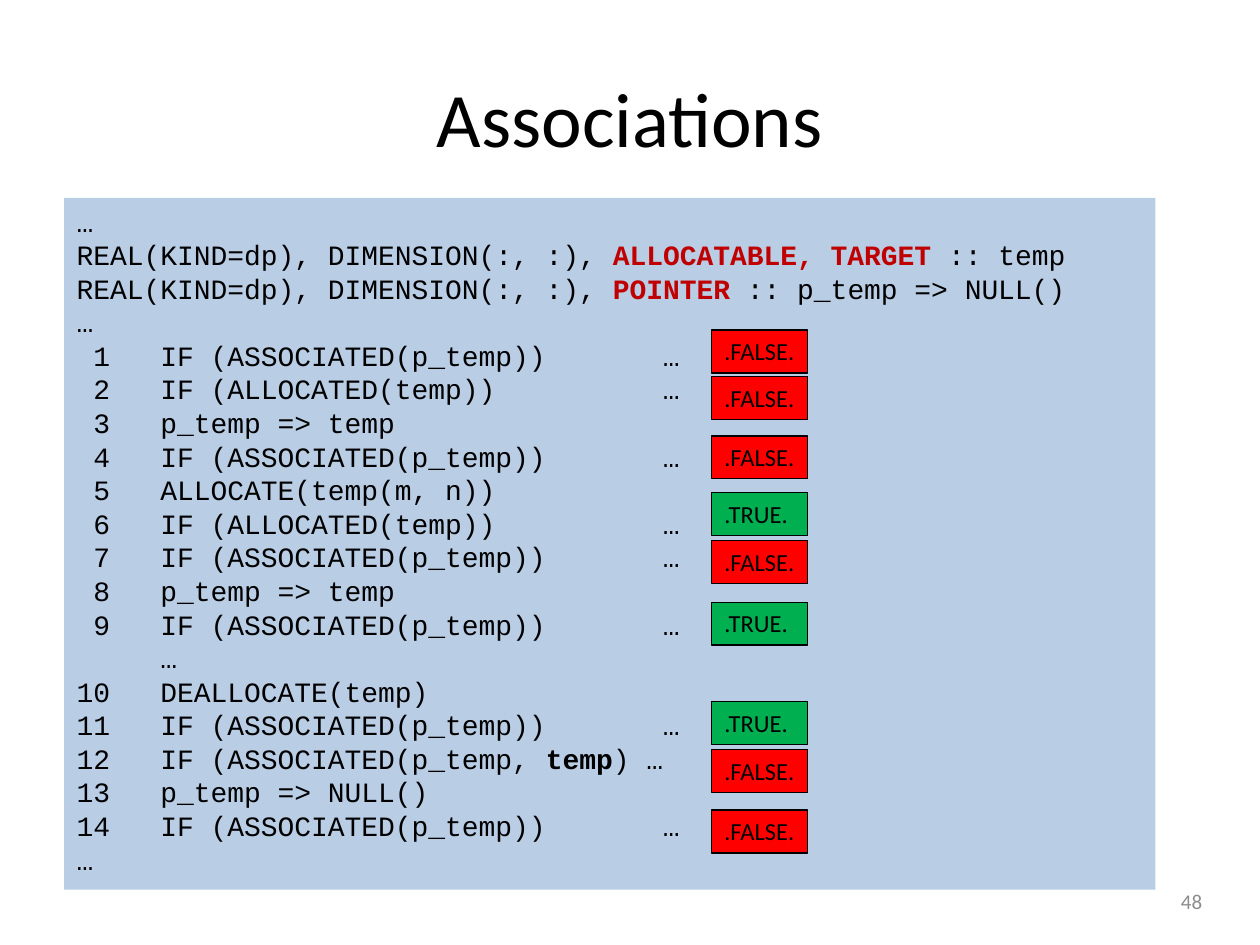
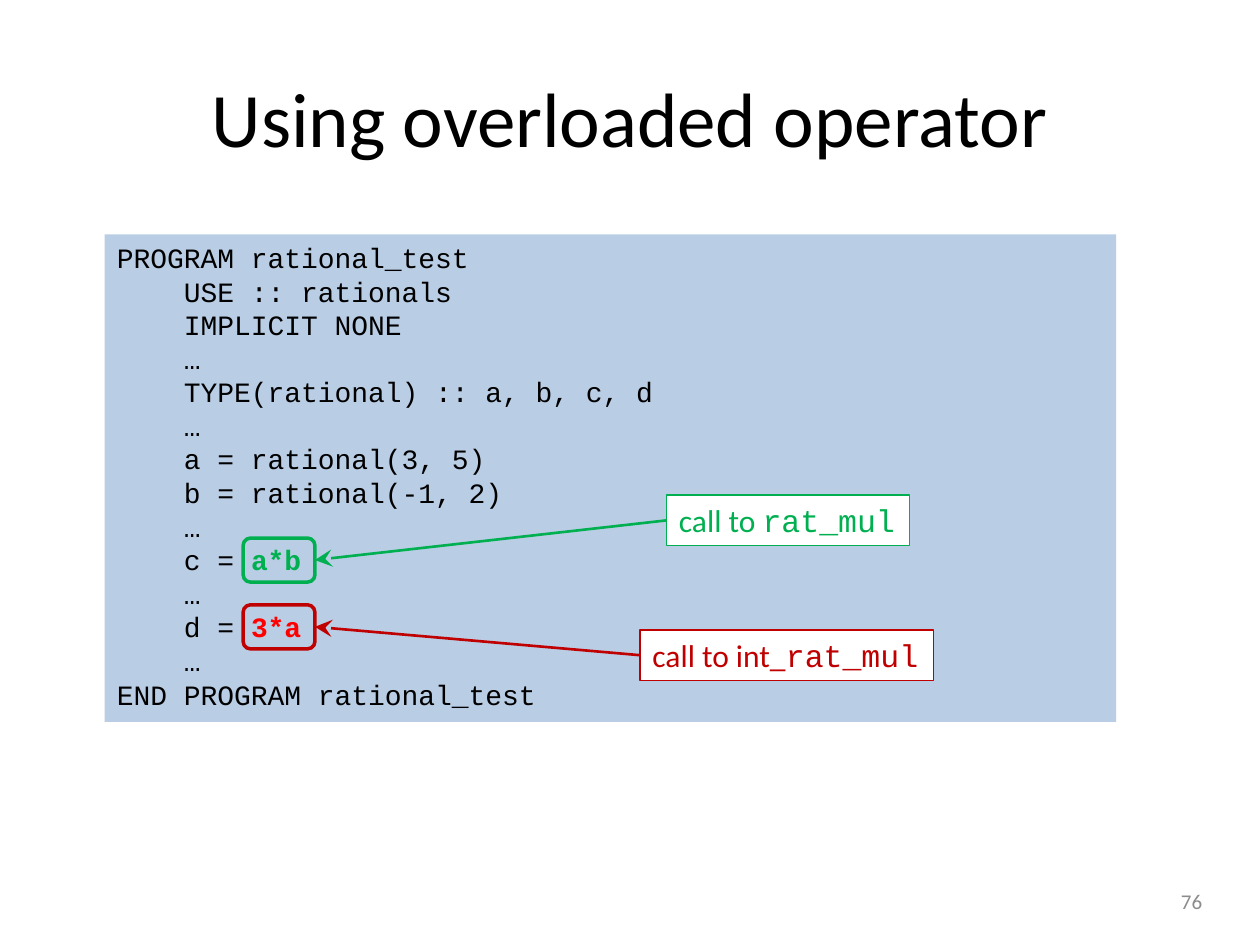
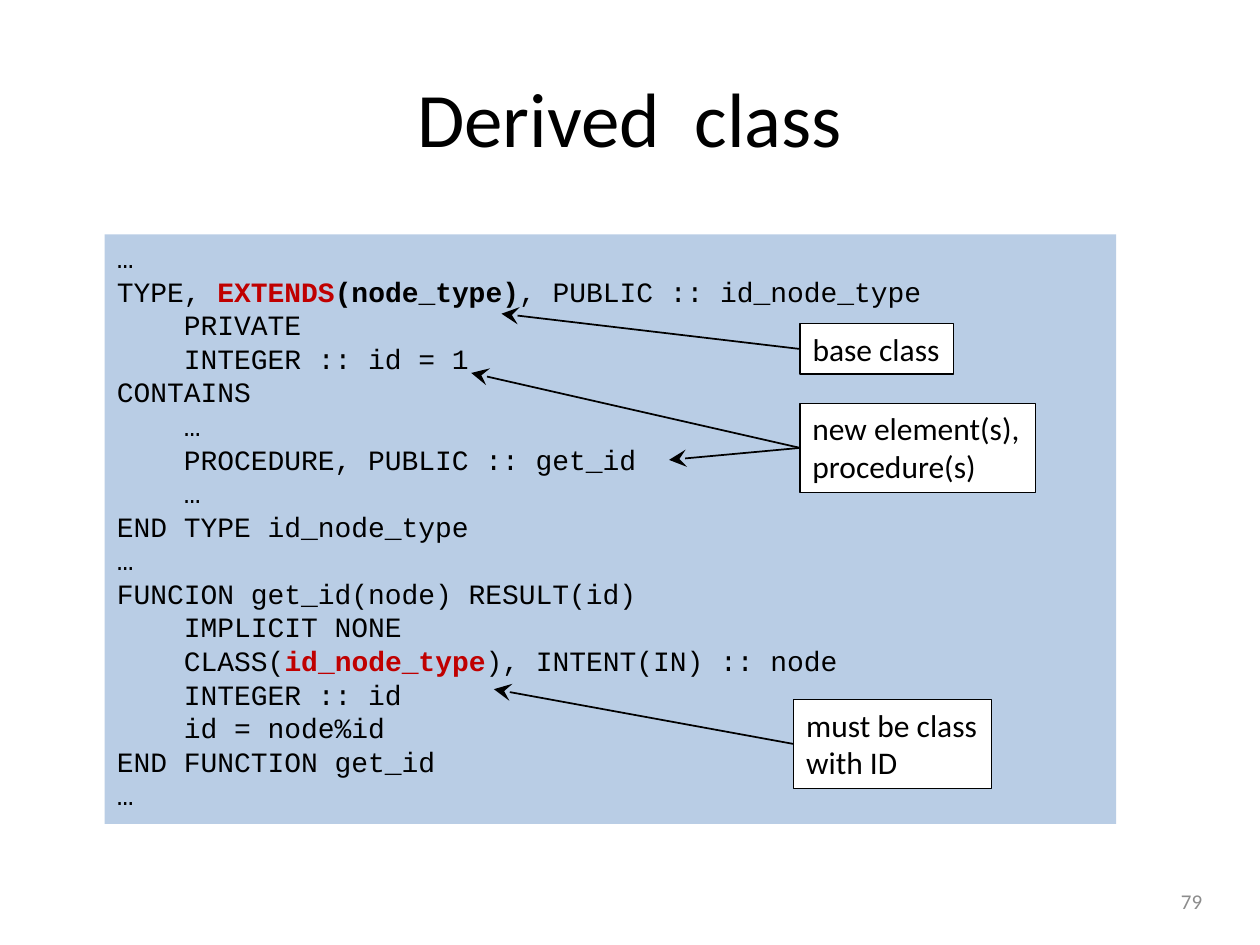
from lxml import etree
from pptx import Presentation
from pptx.dml.color import RGBColor
from pptx.enum.shapes import MSO_CONNECTOR, MSO_SHAPE
from pptx.enum.text import MSO_ANCHOR, PP_ALIGN
from pptx.oxml.ns import qn
from pptx.util import Inches, Pt

STRAIGHT = MSO_CONNECTOR.STRAIGHT
ROUNDED = MSO_SHAPE.ROUNDED_RECTANGLE
MIDDLE = MSO_ANCHOR.MIDDLE
CENTER, RIGHT = PP_ALIGN.CENTER, PP_ALIGN.RIGHT
LEFT_SIDE, RIGHT_SIDE = 1, 3

COLORS = {
    "black": "000000",
    "white": "FFFFFF",
    "grey": "8C8C8C",
    "code": "B9CDE5",
    "keyword": "C00000",
    "red": "FF0000",
    "green": "00B050",
}
TEXT_FONT = "Calibri"
CODE_FONT = "Courier New"
TITLE_ONLY = 5

ASSOCIATIONS_CODE = [
    "…",
    ["REAL(KIND=dp), DIMENSION(:, :), ", ("ALLOCATABLE, TARGET", "keyword"), " :: temp"],
    ["REAL(KIND=dp), DIMENSION(:, :), ", ("POINTER", "keyword"), " :: p_temp => NULL()"],
    "…",
    " 1   IF (ASSOCIATED(p_temp))       …",
    " 2   IF (ALLOCATED(temp))          …",
    " 3   p_temp => temp",
    " 4   IF (ASSOCIATED(p_temp))       …",
    " 5   ALLOCATE(temp(m, n))",
    " 6   IF (ALLOCATED(temp))          …",
    " 7   IF (ASSOCIATED(p_temp))       …",
    " 8   p_temp => temp",
    " 9   IF (ASSOCIATED(p_temp))       …",
    "     …",
    "10   DEALLOCATE(temp)",
    "11   IF (ASSOCIATED(p_temp))       …",
    ["12   IF (ASSOCIATED(p_temp, ", ("temp", "black"), ") …"],
    "13   p_temp => NULL()",
    "14   IF (ASSOCIATED(p_temp))       …",
    "…",
]
OUTCOMES = [
    (2.62, False), (2.99, False), (3.46, False),
    (3.91, True), (4.29, False), (4.78, True),
    (5.57, True), (5.95, False), (6.43, False),
]
OPERATOR_CODE = [
    "PROGRAM rational_test",
    "    USE :: rationals",
    "    IMPLICIT NONE",
    "    …",
    "    TYPE(rational) :: a, b, c, d",
    "    …",
    "    a = rational(3, 5)",
    "    b = rational(-1, 2)",
    "    …",
    ["    c = ", ("a*b", "green")],
    "    …",
    ["    d = ", ("3*a", "red")],
    "    …",
    "END PROGRAM rational_test",
]
DERIVED_CODE = [
    "…",
    ["TYPE, ", ("EXTENDS", "keyword"), ("(node_type)", "black"), ", PUBLIC :: id_node_type"],
    "    PRIVATE",
    "    INTEGER :: id = 1",
    "CONTAINS",
    "    …",
    "    PROCEDURE, PUBLIC :: get_id",
    "    …",
    "END TYPE id_node_type",
    "…",
    "FUNCION get_id(node) RESULT(id)",
    "    IMPLICIT NONE",
    ["    CLASS(", ("id_node_type", "keyword"), "), INTENT(IN) :: node"],
    "    INTEGER :: id",
    "    id = node%id",
    "END FUNCTION get_id",
    "…",
]


def rgb(color):
    return RGBColor.from_string(COLORS[color])


def set_font(paragraph, size, color="black", name=TEXT_FONT):
    paragraph.font.size = Pt(size)
    paragraph.font.name = name
    paragraph.font.color.rgb = rgb(color)


def set_line(shape, color, width):
    shape.line.color.rgb = rgb(color)
    shape.line.width = Pt(width)


def add_box(slide, left, top, width, height, fill=None, wrap=True):
    box = slide.shapes.add_textbox(Inches(left), Inches(top), Inches(width), Inches(height))
    box.text_frame.word_wrap = wrap
    if fill:
        box.fill.solid()
        box.fill.fore_color.rgb = rgb(fill)
    return box


def add_titled_slide(prs, heading, number):
    slide = prs.slides.add_slide(prs.slide_layouts[TITLE_ONLY])
    title = slide.shapes.title
    title.left, title.top = Inches(0.5), Inches(0.3)
    title.width, title.height = Inches(9), Inches(1.25)
    title.text_frame.vertical_anchor = MIDDLE
    title_line = title.text_frame.paragraphs[0]
    title_line.text = heading
    title_line.alignment = CENTER
    set_font(title_line, 44)

    footer = add_box(slide, 7.31, 6.95, 2.33, 0.4).text_frame
    footer.vertical_anchor = MIDDLE
    page = footer.paragraphs[0]
    page.text = str(number)
    page.alignment = RIGHT
    set_font(page, 12, "grey")
    return slide


def add_code(slide, lines, left, top, width, height):
    frame = add_box(slide, left, top, width, height, "code").text_frame
    for index, line in enumerate(lines):
        paragraph = frame.add_paragraph() if index else frame.paragraphs[0]
        set_font(paragraph, 16, name=CODE_FONT)
        for part in [line] if isinstance(line, str) else line:
            run = paragraph.add_run()
            if isinstance(part, str):
                run.text = part
            else:
                run.text, color = part
                run.font.bold = True
                run.font.color.rgb = rgb(color)


def add_outcome(slide, top, is_true):
    outcome = add_box(slide, 5.65, top, 0.76, 0.34, "green" if is_true else "red", wrap=is_true)
    set_line(outcome, "black", 0.75)
    value = outcome.text_frame.paragraphs[0]
    value.text = ".TRUE." if is_true else ".FALSE."
    set_font(value, 14)


def add_callout(slide, text, left, top, width, height, color="black", code=""):
    callout = add_box(slide, left, top, width, height, "white", wrap=False)
    set_line(callout, color, 0.75)
    paragraph = callout.text_frame.paragraphs[0]
    paragraph.text = text
    set_font(paragraph, 18, color)
    if code:
        run = paragraph.add_run()
        run.text = code
        run.font.name = CODE_FONT
    return callout


def add_highlight(slide, top, color):
    highlight = slide.shapes.add_shape(
        ROUNDED, Inches(1.93), Inches(top), Inches(0.57), Inches(0.35))
    highlight.shadow.inherit = False
    highlight.fill.background()
    set_line(highlight, color, 2)
    return highlight


def add_arrow(slide, callout, end_x=0, end_y=0, target=None, color="black", width=1):
    arrow = slide.shapes.add_connector(
        STRAIGHT, callout.left, callout.top, Inches(end_x), Inches(end_y))
    arrow.begin_connect(callout, LEFT_SIDE)
    if target:
        arrow.end_connect(target, RIGHT_SIDE)
    set_line(arrow, color, width)
    etree.SubElement(arrow.line._get_or_add_ln(), qn("a:tailEnd"),
                     type="stealth", w="lg", len="lg")
    etree.SubElement(arrow._element.spPr, qn("a:effectLst"))


def build_associations(prs):
    slide = add_titled_slide(prs, "Associations", 48)
    add_code(slide, ASSOCIATIONS_CODE, 0.51, 1.57, 8.66, 5.49)
    for top, is_true in OUTCOMES:
        add_outcome(slide, top, is_true)


def build_operator(prs):
    slide = add_titled_slide(prs, "Using overloaded operator", 76)
    add_code(slide, OPERATOR_CODE, 0.83, 1.86, 8.03, 3.87)
    calls = [
        ("call to ", 5.29, 3.93, 1.93, 4.27, "green"),
        ("call to int_", 5.08, 5, 2.33, 4.8, "keyword"),
    ]
    for text, left, top, width, highlight_top, color in calls:
        expression = add_highlight(slide, highlight_top, color)
        callout = add_callout(slide, text, left, top, width, 0.4, color, "rat_mul")
        add_arrow(slide, callout, target=expression, color=color, width=1.5)


def build_derived_class(prs):
    slide = add_titled_slide(prs, "Derived  class", 79)
    add_code(slide, DERIVED_CODE, 0.83, 1.86, 8.03, 4.68)
    remarks = [
        ("base class", 6.35, 2.57, 1.22, 0.4, [(3.98, 2.49)]),
        ("new element(s),\vprocedure(s)", 6.35, 3.2, 1.87, 0.71, [(3.74, 2.96), (5.31, 3.65)]),
        ("must be class\vwith ID", 6.3, 5.55, 1.57, 0.71, [(3.92, 5.47)]),
    ]
    for text, left, top, width, height, targets in remarks:
        callout = add_callout(slide, text, left, top, width, height)
        for end_x, end_y in targets:
            add_arrow(slide, callout, end_x, end_y)


def main():
    prs = Presentation()
    prs.slide_width, prs.slide_height = Inches(10), Inches(7.5)
    build_associations(prs)
    build_operator(prs)
    build_derived_class(prs)
    prs.save("out.pptx")


if __name__ == "__main__":
    main()
